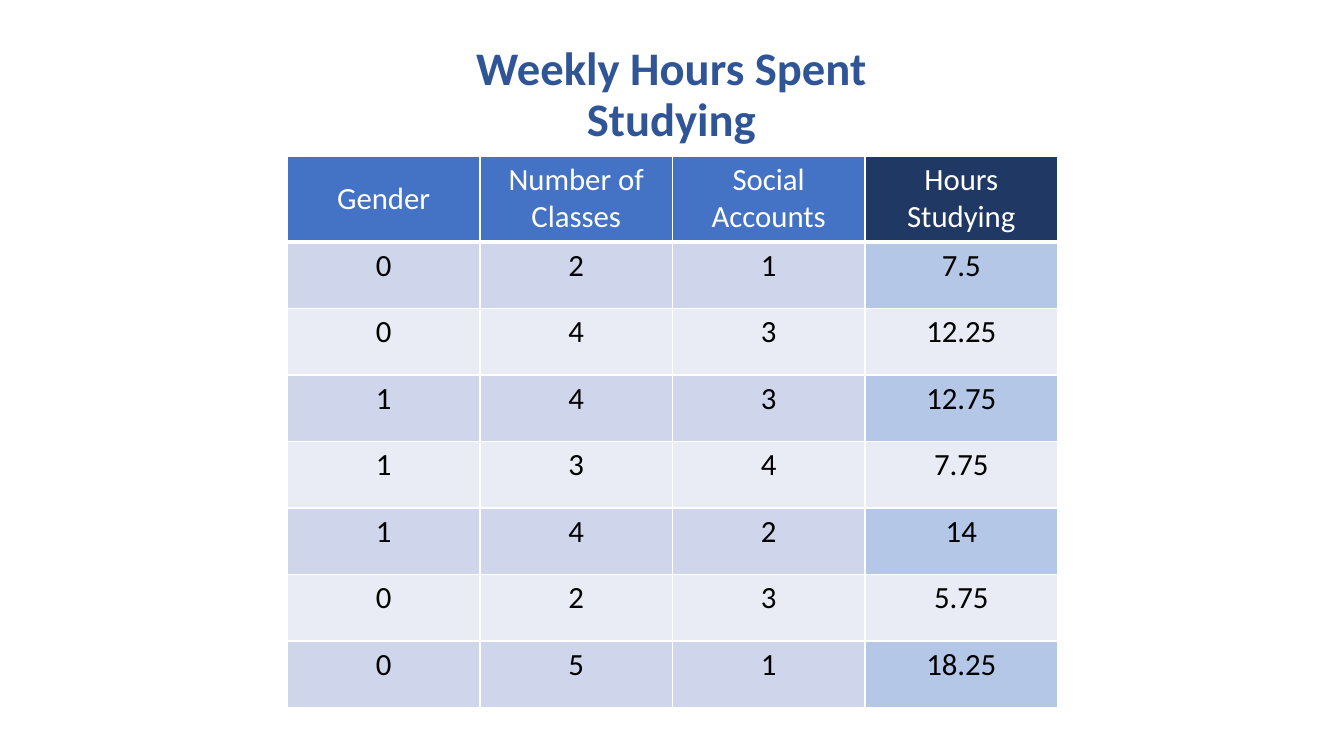
from lxml.etree import SubElement
from pptx import Presentation
from pptx.dml.color import RGBColor
from pptx.enum.text import MSO_ANCHOR, PP_ALIGN
from pptx.oxml.ns import qn
from pptx.util import Inches, Pt

FONT = "Calibri"
COLORS = {
    "title": "2F5597",
    "header": "4472C4",
    "header_accent": "203864",
    "band_dark": "CFD5EA",
    "band_light": "E9EBF5",
    "band_accent": "B4C7E7",
    "white": "FFFFFF",
    "black": "000000",
}
HEADERS = ["Gender", "Number of Classes", "Social\nAccounts", "Hours\nStudying"]
RECORDS = [
    ["0", "2", "1", "7.5"],
    ["0", "4", "3", "12.25"],
    ["1", "4", "3", "12.75"],
    ["1", "3", "4", "7.75"],
    ["1", "4", "2", "14"],
    ["0", "2", "3", "5.75"],
    ["0", "5", "1", "18.25"],
]
HEADER_HEIGHT = 0.85


def color(name):
    return RGBColor.from_string(COLORS[name])


def write(frame, text, size, color_name, bold=False, spacing=None):
    for index, line in enumerate(text.split("\n")):
        para = frame.add_paragraph() if index else frame.paragraphs[0]
        para.alignment = PP_ALIGN.CENTER
        para.line_spacing = spacing
        span = para.add_run()
        span.text = line
        span.font.name = FONT
        span.font.size = Pt(size)
        span.font.bold = bold
        span.font.color.rgb = color(color_name)


def set_borders(cell, widths):
    properties = cell._tc.get_or_add_tcPr()
    for side, width in widths.items():
        line = SubElement(properties, qn(f"a:ln{side}"), w=str(Pt(width)))
        fill = SubElement(line, qn("a:solidFill"))
        SubElement(fill, qn("a:srgbClr"), val=COLORS["white"])


def cell_fill(row, is_last):
    if row == 0:
        return "header_accent" if is_last else "header"
    if row % 2 == 0:
        return "band_light"
    return "band_accent" if is_last else "band_dark"


def add_title(page, left, top, width, height):
    box = page.shapes.add_textbox(Inches(left), Inches(top), Inches(width), Inches(height))
    frame = box.text_frame
    frame.word_wrap = True
    frame.vertical_anchor = MSO_ANCHOR.MIDDLE
    write(frame, "Weekly Hours Spent Studying", 33.3, "title", bold=True, spacing=0.9)


def add_study_table(page, left, top, width, height):
    rows = [HEADERS] + RECORDS
    table = page.shapes.add_table(
        len(rows), len(HEADERS), Inches(left), Inches(top), Inches(width), Inches(height)
    ).table
    table.first_row = False
    table.horz_banding = False
    for column in table.columns:
        column.width = Inches(width / len(HEADERS))
    for row, values in enumerate(rows):
        is_header = row == 0
        body_height = (height - HEADER_HEIGHT) / len(RECORDS)
        table.rows[row].height = Inches(HEADER_HEIGHT if is_header else body_height)
        for column, text in enumerate(values):
            cell = table.cell(row, column)
            widths = {"L": 1, "R": 1, "T": 3 if row == 1 else 1, "B": 3 if is_header else 1}
            set_borders(cell, widths)
            cell.fill.solid()
            cell.fill.fore_color.rgb = color(cell_fill(row, column == len(HEADERS) - 1))
            spacing = 1.5 if text == "Gender" else None
            write(cell.text_frame, text, 22, "white" if is_header else "black", spacing=spacing)


def main():
    deck = Presentation()
    deck.slide_width = Inches(13.33)
    deck.slide_height = Inches(7.5)
    page = deck.slides.add_slide(deck.slide_layouts[6])
    add_study_table(page, 2.85, 1.55, 7.64, 5.47)
    add_title(page, 3.9, 0.49, 5.52, 0.92)
    deck.save("out.pptx")


if __name__ == "__main__":
    main()
